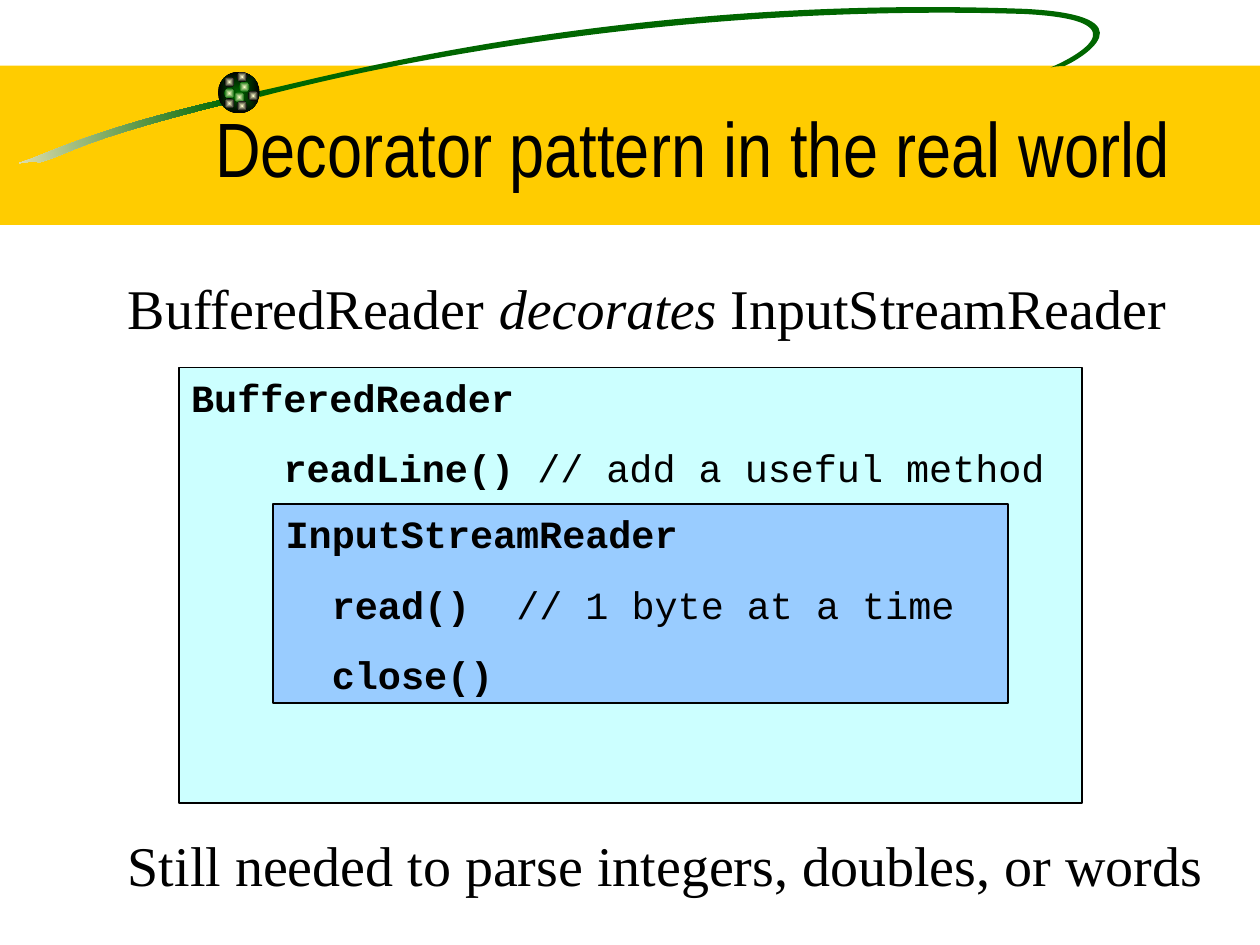
"""Build the slide on the decorator pattern in the real world."""
from math import cos, radians, sin
from lxml import etree
from pptx import Presentation
from pptx.dml.color import RGBColor as Rgb
from pptx.enum.shapes import MSO_SHAPE as Kind
from pptx.enum.text import MSO_ANCHOR as Anchor, PP_ALIGN as Align
from pptx.oxml.ns import qn
from pptx.util import Pt

HUES = {"gold": "FFCC00", "sand": "F5EBC1", "green": "006600", "black": "000000",
        "cream": "FFFFCC", "aqua": "CCFFFF", "blue": "99CCFF"}
SERIF, MONO = "Times New Roman", "Courier New"
TILT = 8.5


def paint(shape, *hues, glow=False):
    shape.shadow.inherit = False
    shape.line.fill.background()
    if len(hues) == 1:
        shape.fill.solid()
        shape.fill.fore_color.rgb = Rgb.from_string(HUES[hues[0]])
        return
    shape.fill.gradient()
    shape.fill.gradient_angle = 0
    for stop, hue in zip(shape.fill.gradient_stops, hues):
        stop.color.rgb = Rgb.from_string(HUES[hue])
    if glow:
        grad = shape._element.spPr.find(qn("a:gradFill"))
        grad.remove(grad.find(qn("a:lin")))
        mid = etree.SubElement(grad, qn("a:path"), {"path": "rect"})
        etree.SubElement(mid, qn("a:fillToRect"), dict.fromkeys("ltrb", "50000"))


def write(shape, lines, font=SERIF, size=32, gap=0, align=Align.LEFT, anchor=Anchor.TOP):
    frame = shape.text_frame
    frame.word_wrap = True
    frame.vertical_anchor = anchor
    for row, (dent, runs) in enumerate(lines):
        para = frame.paragraphs[0] if row == 0 else frame.add_paragraph()
        para.alignment = align
        para.space_before = Pt(gap if row else 0)
        para._p.get_or_add_pPr().set("marL", str(Pt(dent)))
        for text, style in runs:
            run = para.add_run()
            run.text = text
            run.font.name, run.font.size = font, Pt(size)
            run.font.bold, run.font.italic = style == "bold", style == "slant"
            run.font.color.rgb = Rgb.from_string(HUES["black"])


deck = Presentation()
deck.slide_width, deck.slide_height = Pt(720), Pt(540)
slide = deck.slides.add_slide(deck.slide_layouts[6])
shapes = slide.shapes

band = shapes.add_shape(Kind.RECTANGLE, Pt(0), Pt(37.5), Pt(720), Pt(91))
paint(band, "gold")

tail = [(128.2, 56.2),
        (65.5, 70.6), (35.3, 83.5), (18, 90.7),
        (0.7, 96.5), (18.7, 90.7), (22.3, 92.9),
        (41, 87.8), (41, 81.4), (128.9, 59),
        (128.9, 59), (128.2, 56.2), (128.2, 56.2)]
loop = [(145.4, 52.6),
        (177.1, 46.8), (349.9, -3.6), (586.1, 5),
        (660.2, 8.6), (617, 33.8), (608.4, 37.4),
        (608.4, 37.4), (603.4, 37.4), (600.5, 38.2),
        (607.7, 35.3), (659.5, 11.5), (585.4, 7.9),
        (394.6, 2.2), (230.4, 33.8), (148.3, 55.4),
        (148.3, 55.4), (145.4, 52.6), (145.4, 52.6)]
turn = radians(TILT)
for knots, area, hues in ((tail, (-2.2, 65.5, 132.5, 21.6), ("sand", "green")),
                          (loop, (144.7, -10.8, 515.5, 78.5), ("green",))):
    x, y, wide, high = area
    pen = shapes.build_freeform(x, y, scale=float(Pt(1)))
    pen.add_line_segments([(x + wide, y), (x + wide, y + high), (x, y + high)])
    sweep = pen.convert_to_shape()
    sweep.rotation = 360 - TILT
    trace = sweep._element.spPr.find(".//" + qn("a:path"))
    trace.set("w", str(Pt(wide)))
    trace.set("h", str(Pt(high)))
    for part in list(trace):
        trace.remove(part)
    for k, (px, py) in enumerate(knots):
        if k % 3 == 1 or k == 0:
            curve = etree.SubElement(trace, qn("a:cubicBezTo" if k else "a:moveTo"))
        dx, dy = px - x - wide / 2, py - y - high / 2
        across = wide / 2 + dx * cos(turn) - dy * sin(turn)
        down = high / 2 + dx * sin(turn) + dy * cos(turn)
        etree.SubElement(curve, qn("a:pt"), {"x": str(Pt(across)), "y": str(Pt(down))})
    etree.SubElement(trace, qn("a:close"))
    paint(sweep, *hues)

ball = shapes.add_shape(Kind.OVAL, Pt(124.6), Pt(41), Pt(23.8), Pt(23.8))
paint(ball, "green", "black", glow=True)
sparks = [(136.8, 46.8, "green"), (128.2, 43.9, "black"), (128.2, 50.4, "green"),
          (133.9, 52.6, "green"), (141.8, 51.8, "black"), (135.4, 57.6, "black"),
          (128.2, 56.2, "black"), (135.4, 41, "black")]
for x, y, hue in sparks:
    spark = shapes.add_shape(Kind.OVAL, Pt(x), Pt(y), Pt(5.8), Pt(5.8))
    paint(spark, "cream", hue, glow=True)

outer = [(0, [("BufferedReader", "bold")]),
         (52.8, [("readLine() ", "bold"), ("// add a useful method", "")])]
inner = [(0, [("InputStreamReader", "bold")]),
         (26.4, [("read()  ", "bold"), ("// 1 byte at a time", "")]),
         (26.4, [("close()", "bold")])]
for x, y, wide, high, hue, lines in ((102.2, 210, 516.2, 249, "aqua", outer),
                                     (156.2, 288, 419.8, 113.8, "blue", inner)):
    box = shapes.add_shape(Kind.RECTANGLE, Pt(x), Pt(y), Pt(wide), Pt(high))
    paint(box, hue)
    box.line.color.rgb = Rgb.from_string(HUES["black"])
    box.line.width = Pt(1)
    write(box, lines, font=MONO, size=22, gap=13.8)

title = shapes.add_textbox(Pt(90), Pt(36), Pt(612), Pt(77.8))
write(title, [(0, [("Decorator pattern in the real world", "")])],
      font="Arial Narrow", size=44, align=Align.CENTER, anchor=Anchor.BOTTOM)

claim = [("BufferedReader ", ""), ("decorates", "slant"), (" InputStreamReader", "")]
need = [("Still needed to parse integers, doubles, or words", "")]
body = shapes.add_textbox(Pt(66), Pt(152.6), Pt(642), Pt(364.3))
write(body, [(0, claim), (0, need)], gap=280)

deck.save("out.pptx")
